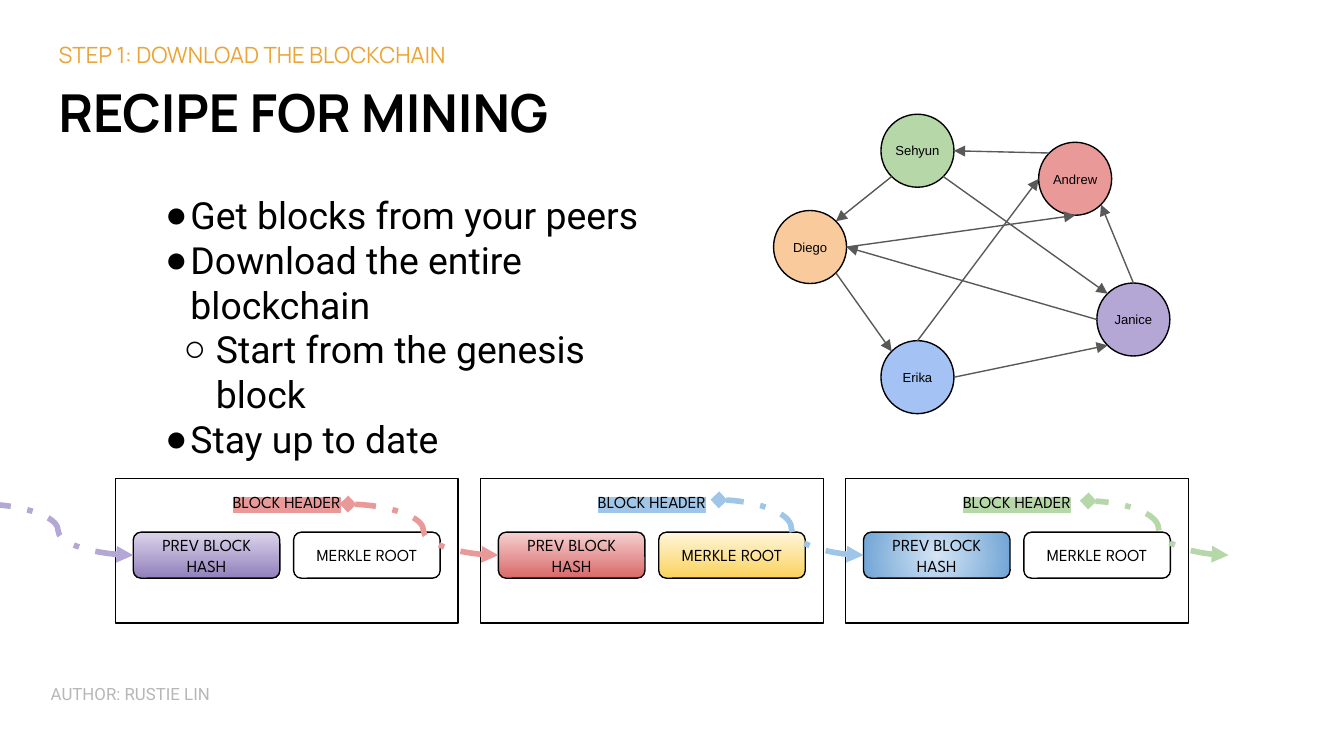
from math import cos, radians, sin

from lxml.etree import SubElement
from pptx import Presentation
from pptx.dml.color import RGBColor
from pptx.enum.dml import MSO_LINE_DASH_STYLE as Dash
from pptx.enum.shapes import MSO_CONNECTOR as Link, MSO_SHAPE as Shape
from pptx.enum.text import MSO_ANCHOR as Anchor, MSO_AUTO_SIZE as AutoSize, PP_ALIGN as Align
from pptx.oxml.ns import qn
from pptx.util import Cm, Pt

COLORS = {
    "black": "000000", "white": "FFFFFF", "gold": "EAA536", "gray": "B7B7B7",
    "arrow": "595959", "purple": "B4A7D6", "rose": "EA9999", "sky": "9FC5E8",
    "green": "B6D7A8", "orange": "F9CB9C", "blue": "A4C2F4",
    "rose light": "F5D0D0", "rose dark": "D96868",
    "yellow light": "FFF6DB", "yellow dark": "FAD25C",
    "purple light": "DBD4EB", "purple dark": "9180BB",
    "sky light": "D4E5F5", "sky dark": "70A4D5",
}


def rgb(name):
    return RGBColor.from_string(COLORS[name])


class SlideBuilder:
    """Holds the style and the current slide."""

    heading_font, body_font = "Manrope", "Roboto"
    block_font, peer_font = "League Spartan", "Arial"
    line_width = Pt(0.75)

    def __init__(self, page):
        self.page = page

    def format_text(self, box, font, size, color="black", bold=False, align=Align.LEFT,
                    anchor=Anchor.TOP, inset=0.1, top_inset=None):
        frame = box.text_frame
        frame.word_wrap = True
        frame.auto_size = AutoSize.NONE
        frame.vertical_anchor = anchor
        frame.margin_left = frame.margin_right = frame.margin_bottom = Cm(inset)
        frame.margin_top = Cm(inset if top_inset is None else top_inset)
        for para in frame.paragraphs:
            para.alignment = align
            para.space_before = Pt(0)
            for span in para.runs:
                span.font.name, span.font.size, span.font.bold = font, Pt(size), bold
                span.font.color.rgb = rgb(color)

    def place(self, box, left, top, width, height):
        box.left, box.top, box.width, box.height = Cm(left), Cm(top), Cm(width), Cm(height)

    def title(self, text, *bounds):
        box = self.page.shapes.title
        self.place(box, *bounds)
        box.text_frame.text = text
        self.format_text(box, self.heading_font, 28, bold=True, inset=0.25)

    def label(self, text, bounds, font, size, color, **layout):
        box = self.page.shapes.add_textbox(*map(Cm, bounds))
        box.text_frame.text = text
        self.format_text(box, font, size, color, **layout)

    def bullets(self, items, *bounds):
        box = self.page.placeholders[1]
        self.place(box, *bounds)
        box.text_frame.text = "\n".join(text for level, text in items)
        for para, (level, text) in zip(box.text_frame.paragraphs, items):
            para.level = level
            props = para._p.get_or_add_pPr()
            props.set("marL", str(Cm(0.48 * (level + 1))))
            props.set("indent", str(Cm(-0.61)))
            tint = SubElement(props, qn("a:buClr"))
            SubElement(tint, qn("a:srgbClr"), val=COLORS["black"])
            SubElement(props, qn("a:buChar"), char="●○"[level])
        self.format_text(box, self.body_font, 20)

    def shape(self, kind, text, bounds, fill, font, size, **layout):
        box = self.page.shapes.add_shape(kind, *map(Cm, bounds))
        box.shadow.inherit = False
        box.fill.solid()
        box.fill.fore_color.rgb = rgb(fill)
        box.line.color.rgb = rgb("black")
        box.line.width = self.line_width
        box.text_frame.text = text
        self.format_text(box, font, size, align=Align.CENTER, **layout)
        return box

    def field(self, text, bounds, gradient=None, radial=False):
        box = self.shape(Shape.ROUNDED_RECTANGLE, text, bounds, "white",
                         self.block_font, 9, anchor=Anchor.MIDDLE)
        if not gradient:
            return
        box.fill.gradient()
        box.fill.gradient_angle = 270
        for stop, tone in zip(box.fill.gradient_stops, ("light", "dark")):
            stop.color.rgb = rgb(f"{gradient} {tone}")
        if radial:
            grad = box._element.spPr.find(qn("a:gradFill"))
            grad.remove(grad.find(qn("a:lin")))
            circle = SubElement(grad, qn("a:path"), path="circle")
            SubElement(circle, qn("a:fillToRect"), l="50000", t="50000", r="50000", b="50000")

    def block(self, bounds, highlight):
        box = self.shape(Shape.RECTANGLE, "BLOCK HEADER", bounds, "white",
                         self.block_font, 9, top_inset=0.26)
        props = box.text_frame.paragraphs[0].runs[0].font._element
        mark = SubElement(props, qn("a:highlight"))
        SubElement(mark, qn("a:srgbClr"), val=COLORS[highlight])
        props.find(qn("a:solidFill")).addnext(mark)

    def connector(self, kind, start, end, color, width, head=None, tail=None, dash=None):
        line = self.page.shapes.add_connector(kind, *map(Cm, (*start, *end)))
        line.line.color.rgb = rgb(color)
        line.line.width = width
        if dash:
            line.line.dash_style = dash
        props = line._element.spPr
        for tag, tip in (("a:headEnd", head), ("a:tailEnd", tail)):
            if tip:
                SubElement(props.find(qn("a:ln")), qn(tag), type=tip)
        SubElement(props, qn("a:effectLst"))


def main():
    deck = Presentation()
    deck.slide_width, deck.slide_height = Cm(25.4), Cm(14.29)
    slide = SlideBuilder(deck.slides.add_slide(deck.slide_layouts[1]))

    # Headings, list and author
    slide.label("STEP 1: DOWNLOAD THE BLOCKCHAIN", (0.86, 0.53, 23.6, 1.09),
                slide.heading_font, 12, "gold", inset=0.25)
    slide.title("RECIPE FOR MINING", 0.86, 1.27, 23.6, 1.6)
    slide.label("AUTHOR: RUSTIE LIN", (0.86, 12.45, 6.76, 1.45),
                slide.body_font, 9, "gray", top_inset=0.48)
    slide.bullets([
        (0, "Get blocks from your peers"),
        (0, "Download the entire blockchain"),
        (1, "Start from the genesis block"),
        (0, "Stay up to date"),
    ], 3.02, 3.53, 9.98, 4.14)

    # Chain of blocks
    chain_left, step, field_top, field_size = 2.18, 6.9, 10.06, (2.77, 0.87)
    blocks = [("rose", "purple", None), ("sky", "rose", "yellow"), ("green", "sky", None)]
    for index, (highlight, hash_fill, root_fill) in enumerate(blocks):
        left = chain_left + index * step
        slide.block((left, 9.04, 6.48, 2.74), highlight)
        slide.field("PREV BLOCK HASH", (left + 0.34, field_top, *field_size),
                    hash_fill, radial=hash_fill == "sky")
        slide.field("MERKLE ROOT", (left + 3.37, field_top, *field_size), root_fill)

    # Links from each header to the next block's hash
    origins = [("purple", -0.33, 9.53), ("rose", 6.58, 9.53),
               ("sky", 13.59, 9.45), ("green", 20.57, 9.47)]
    for index, (color, x, y) in enumerate(origins):
        hash_side = (chain_left + 0.34 + index * step, field_top + field_size[1] / 2)
        slide.connector(Link.CURVE, hash_side, (x, y), color, Pt(3),
                        head="triangle", tail="diamond", dash=Dash.DASH_DOT)

    # Peers, by centre
    radius = 0.69
    peers = {
        "Diego": (15.31, 4.67, "orange"), "Sehyun": (17.34, 2.85, "green"),
        "Andrew": (20.32, 3.38, "rose"), "Erika": (17.34, 7.13, "blue"),
        "Janice": (21.42, 6.04, "purple"),
    }
    for name, (x, y, fill) in peers.items():
        slide.shape(Shape.OVAL, name, (x - radius, y - radius, 2 * radius, 2 * radius),
                    fill, slide.peer_font, 7, anchor=Anchor.MIDDLE, inset=0.03)

    # Peer arrows, with clockwise angles from the right of each circle
    def rim(name, angle):
        x, y, fill = peers[name]
        return x + radius * cos(radians(angle)), y + radius * sin(radians(angle))

    for source, leave, target, arrive in [
        ("Sehyun", 135, "Diego", 315), ("Diego", 45, "Erika", 225),
        ("Erika", 0, "Janice", 135), ("Janice", 270, "Andrew", 45),
        ("Andrew", 225, "Sehyun", 0), ("Sehyun", 45, "Janice", 225),
        ("Erika", 270, "Andrew", 180), ("Diego", 0, "Andrew", 90),
        ("Janice", 180, "Diego", 0),
    ]:
        slide.connector(Link.STRAIGHT, rim(source, leave), rim(target, arrive),
                        "arrow", slide.line_width, tail="triangle")

    deck.save("out.pptx")


if __name__ == "__main__":
    main()
